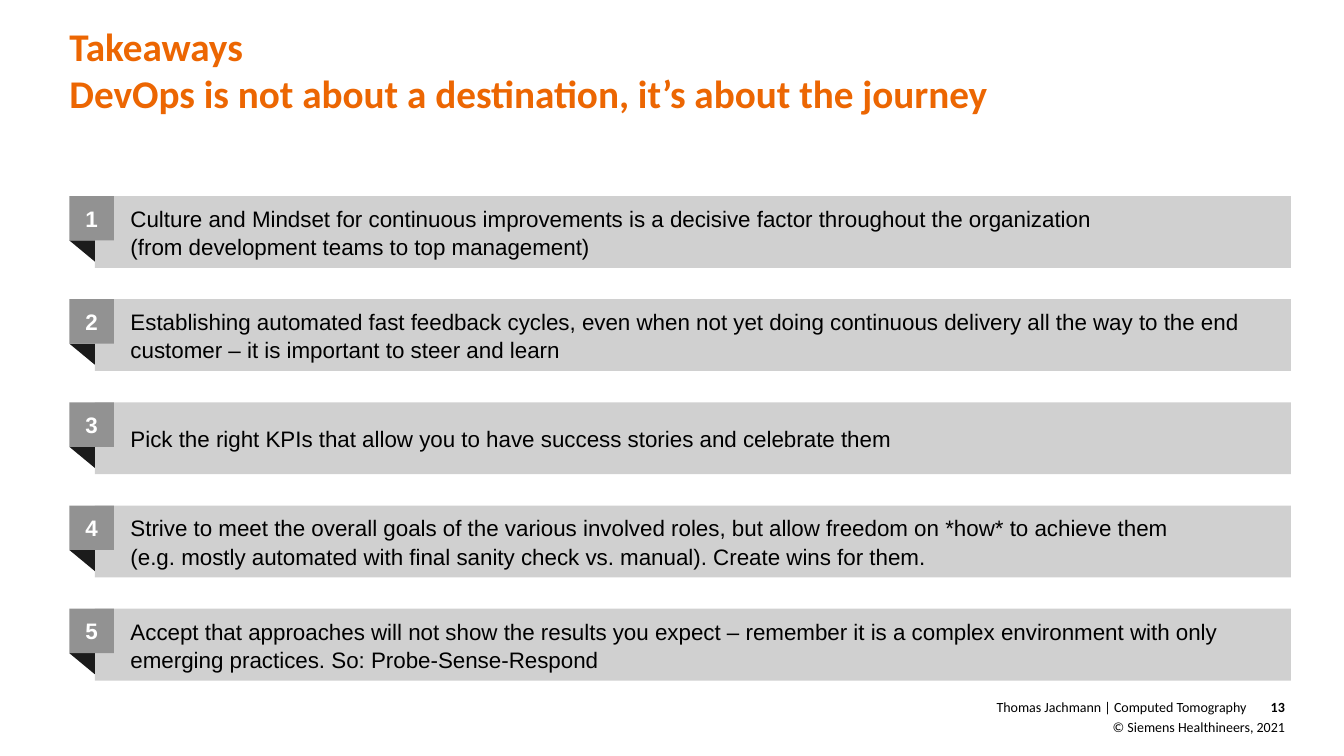
from pptx import Presentation
from pptx.dml.color import RGBColor
from pptx.enum.shapes import MSO_SHAPE as Preset
from pptx.enum.text import MSO_ANCHOR as Anchor, MSO_AUTO_SIZE as AutoSize, PP_ALIGN as Align
from pptx.util import Cm, Pt


def write(shape, text, size=16, font="Arial", color="000000", bold=False,
          align=Align.LEFT, anchor=Anchor.TOP, margins=(0, 0, 0, 0), spacing=1.0):
    frame = shape.text_frame
    frame.text = text
    frame.word_wrap = True
    frame.auto_size = AutoSize.NONE
    frame.vertical_anchor = anchor
    frame.margin_left, frame.margin_top, frame.margin_right, frame.margin_bottom = map(Cm, margins)
    for paragraph in frame.paragraphs:
        paragraph.alignment = align
        paragraph.line_spacing = spacing
        paragraph.space_before = Pt(0)
        paragraph.font.size = Pt(size)
        paragraph.font.name = font
        paragraph.font.bold = bold
        paragraph.font.color.rgb = RGBColor.from_string(color)


def add_block(slide, preset, left, top, width, height, fill):
    shape = slide.shapes.add_shape(preset, Cm(left), Cm(top), Cm(width), Cm(height))
    shape.shadow.inherit = False
    shape.fill.solid()
    shape.fill.fore_color.rgb = RGBColor.from_string(fill)
    shape.line.fill.background()
    return shape


presentation = Presentation()
presentation.slide_width = Cm(33.88)
presentation.slide_height = Cm(19.05)
slide = presentation.slides.add_slide(presentation.slide_layouts[5])

title = slide.shapes.title
title.left, title.top, title.width, title.height = Cm(1.75), Cm(0.56), Cm(25.58), Cm(2.31)
write(title, "Takeaways\nDevOps is not about a destination, it’s about the journey",
      size=28, font="Calibri", color="EC6602", bold=True)

takeaways = [
    "Culture and Mindset for continuous improvements is a decisive factor throughout the organization"
    "\v(from development teams to top management)",
    "Establishing automated fast feedback cycles, even when not yet doing continuous delivery "
    "all the way to the end customer – it is important to steer and learn",
    "Pick the right KPIs that allow you to have success stories and celebrate them",
    "Strive to meet the overall goals of the various involved roles, but allow freedom on *how* "
    "to achieve them\v(e.g. mostly automated with final sanity check vs. manual). Create wins for them.",
    "Accept that approaches will not show the results you expect – remember it is a complex "
    "environment with only emerging practices. So: Probe-Sense-Respond",
]
first_top, pitch = 4.94, 2.6
badge_left, badge_size = 1.75, 1.12
bar_left = 2.39

for index, takeaway in enumerate(takeaways):
    top = first_top + index * pitch
    bar = add_block(slide, Preset.RECTANGLE, bar_left, top, 30.15, 1.81, "D0D0D0")
    write(bar, takeaway, anchor=Anchor.MIDDLE, margins=(0.9, 0.13, 0.1, 0.13), spacing=1.05)
    fold = add_block(slide, Preset.RIGHT_TRIANGLE, badge_left, top + badge_size,
                     bar_left - badge_left, 0.53, "1B1B1B")
    fold.rotation = 180
    badge = add_block(slide, Preset.RECTANGLE, badge_left, top, badge_size, badge_size, "929292")
    write(badge, str(index + 1), color="FFFFFF", bold=True, align=Align.CENTER, anchor=Anchor.MIDDLE)

footers = [
    ("Thomas Jachmann | Computed Tomography", 22.38, 17.6, 9.04, False),
    ("13", 31.6, 17.6, 0.79, True),
    ("© Siemens Healthineers, 2021", 22.43, 18.11, 9.96, False),
]
for text, left, top, width, bold in footers:
    footer = slide.shapes.add_textbox(Cm(left), Cm(top), Cm(width), Cm(0.43))
    write(footer, text, size=10, font="Calibri", bold=bold, align=Align.RIGHT)

presentation.save("out.pptx")
